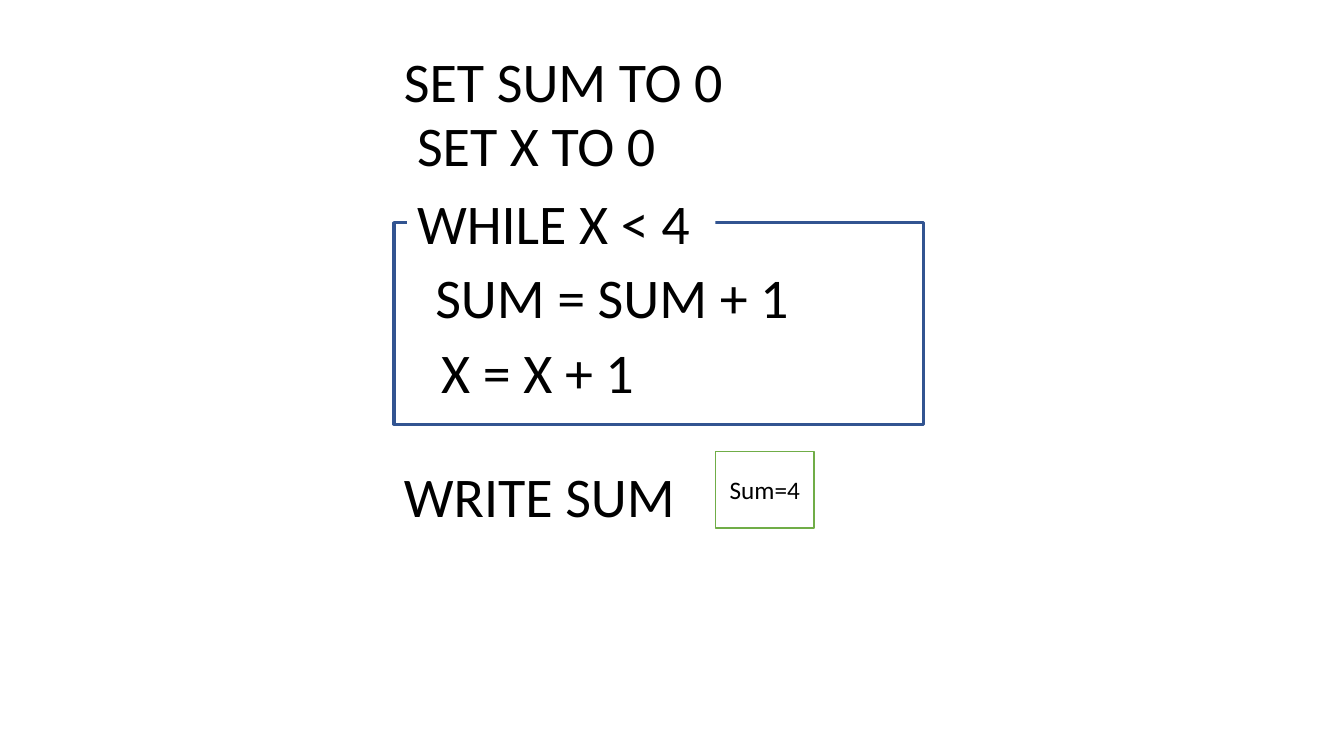
from pptx import Presentation
from pptx.dml.color import RGBColor
from pptx.enum.shapes import MSO_SHAPE
from pptx.enum.text import MSO_ANCHOR, PP_ALIGN
from pptx.util import Cm, Pt

COLORS = {"text": "000000", "paper": "FFFFFF", "loop": "325491", "result": "70AD47"}
FONT = "Calibri"
LINE_H = 1.96   # height of one line of pseudocode
LOOP_STEP = 1.88  # distance between lines inside the loop


def color(name):
    return RGBColor.from_string(COLORS[name])


def write(sp, text, size):
    p = sp.text_frame.paragraphs[0]
    p.text = text
    p.font.name, p.font.size = FONT, Pt(size)
    p.font.color.rgb = color("text")
    return p


def add_code(slide, left, top, width, text):
    sp = slide.shapes.add_textbox(Cm(left), Cm(top), Cm(width), Cm(LINE_H))
    sp.text_frame.word_wrap = True
    write(sp, text, 40)
    return sp


def add_frame(slide, left, top, width, height, line, weight):
    sp = slide.shapes.add_shape(MSO_SHAPE.RECTANGLE, Cm(left), Cm(top), Cm(width), Cm(height))
    sp.shadow.inherit = False
    sp.line.color.rgb = color(line)
    sp.line.width = Pt(weight)
    return sp


def add_setup(slide, left, top):
    add_code(slide, left, top, 8.94, "SET SUM TO 0")
    add_code(slide, left + 0.33, top + 1.63, 6.91, "SET X TO 0")


def add_loop(slide, left, top, width, height):
    add_frame(slide, left, top, width, height, "loop", 2.25).fill.background()
    # The condition interrupts the top edge of the frame
    lines = [(0.33, 7.77, "WHILE X < 4"), (0.79, 9.83, "SUM = SUM + 1"), (0.94, 5.74, "X = X + 1")]
    for i, (indent, line_width, text) in enumerate(lines):
        sp = add_code(slide, left + indent, top - 0.99 + i * LOOP_STEP, line_width, text)
        if i == 0:
            sp.fill.solid()
            sp.fill.fore_color.rgb = color("paper")


def add_output(slide, left, top):
    add_code(slide, left, top, 7.6, "WRITE SUM")
    # Result box
    sp = add_frame(slide, left + 8.1, top - 0.13, 2.49, 1.93, "result", 1)
    sp.fill.solid()
    sp.fill.fore_color.rgb = color("paper")
    sp.text_frame.vertical_anchor = MSO_ANCHOR.MIDDLE
    write(sp, "Sum=4", 18).alignment = PP_ALIGN.CENTER


prs = Presentation()
prs.slide_width, prs.slide_height = Cm(33.87), Cm(19.05)
slide = prs.slides.add_slide(prs.slide_layouts[6])

add_setup(slide, 9.93, 1.04)
add_loop(slide, 9.93, 5.61, 13.34, 5.08)
add_output(slide, 9.93, 11.51)

prs.save("out.pptx")
